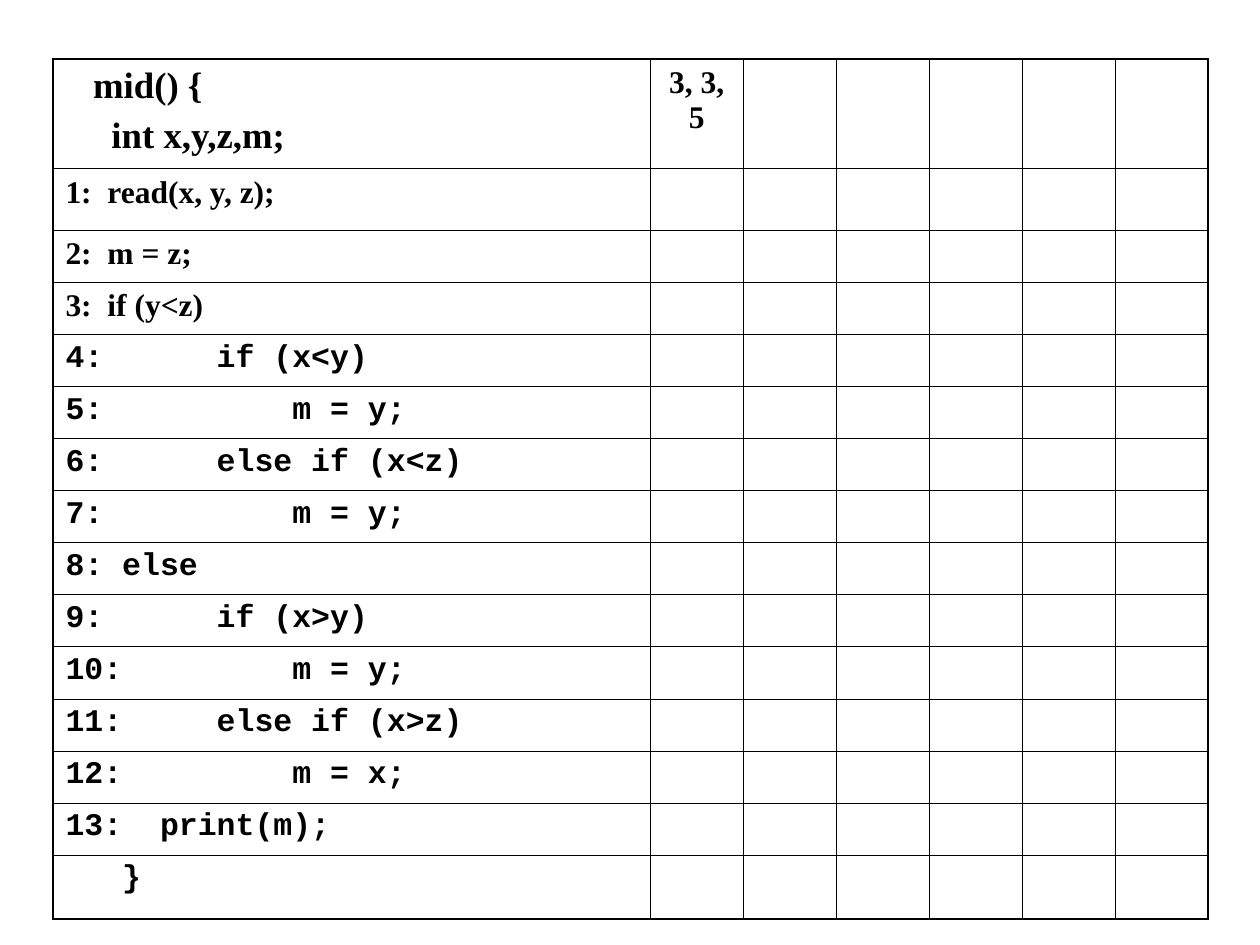
"""Build a slide with a code listing beside a grid of test cases."""
import lxml.etree
import pptx
import pptx.dml.color
import pptx.enum.text
import pptx.oxml.ns
import pptx.util

HUES = {"ink": "000000", "page": "FFFFFF"}
SERIF, MONO = "Times New Roman", "Courier New"
HEAD = "   mid() {\n     int x,y,z,m;"
PLAIN = ["1:  read(x, y, z);", "2:  m = z;", "3:  if (y<z)"]
CODE = [
    "4:      if (x<y)",
    "5:          m = y;",
    "6:      else if (x<z)",
    "7:          m = y;",
    "8: else",
    "9:      if (x>y)",
    "10:         m = y;",
    "11:     else if (x>z)",
    "12:         m = x;",
    "13:  print(m);",
    "   }",
]
CASES = ["3, 3, 5", "", "", "", "", ""]
LINES = [(HEAD, SERIF, 21)]
LINES += [(text, SERIF, 18) for text in PLAIN]
LINES += [(text, MONO, 18) for text in CODE]
ROWS, COLS = len(LINES), len(CASES) + 1
LEFT, TOP, WIDE, TALL = 0.42, 0.47, 9.17, 6.83
FIRST = 4.74
HIGH = {0: 0.87, 1: 0.49, ROWS - 1: 0.51}
THIN, THICK = 0.45, 1.08


def inch(size):
    return pptx.util.Inches(size)


def tint(name):
    return pptx.dml.color.RGBColor.from_string(HUES[name])


def edge(cell, side, width):
    props = cell._tc.get_or_add_tcPr()
    name = pptx.oxml.ns.qn
    line = lxml.etree.SubElement(props, name("a:ln" + side), w=str(pptx.util.Pt(width)))
    fill = lxml.etree.SubElement(line, name("a:solidFill"))
    lxml.etree.SubElement(fill, name("a:srgbClr"), val=HUES["ink"])


def frame(cell, row, col):
    outer = {"L": col == 0, "R": col == COLS - 1, "T": row == 0, "B": row == ROWS - 1}
    for side, thick in outer.items():
        edge(cell, side, THICK if thick else THIN)
    cell.fill.solid()
    cell.fill.fore_color.rgb = tint("page")


def write(cell, text, face, size, align=None):
    cell.text_frame.text = text
    for rank, para in enumerate(cell.text_frame.paragraphs):
        para.alignment = align
        if rank:
            para.space_before = pptx.util.Pt(size / 4)
        for run in para.runs:
            font = run.font
            font.name, font.size, font.bold = face, pptx.util.Pt(size), True
            font.color.rgb = tint("ink")


def main():
    deck = pptx.Presentation()
    deck.slide_width, deck.slide_height = inch(10), inch(7.5)
    slide = deck.slides.add_slide(deck.slide_layouts[6])
    box = [inch(size) for size in (LEFT, TOP, WIDE, TALL)]
    grid = slide.shapes.add_table(ROWS, COLS, *box).table
    grid.first_row = grid.horz_banding = False

    for col, part in enumerate(grid.columns):
        part.width = inch((WIDE - FIRST) / len(CASES) if col else FIRST)
    rest = (TALL - sum(HIGH.values())) / (ROWS - len(HIGH))
    for row, part in enumerate(grid.rows):
        part.height = inch(HIGH.get(row, rest))
        for col in range(COLS):
            frame(grid.cell(row, col), row, col)

    for row, (text, face, size) in enumerate(LINES):
        write(grid.cell(row, 0), text, face, size)
    for col, text in enumerate(CASES, 1):
        if text:
            write(grid.cell(0, col), text, SERIF, 18, pptx.enum.text.PP_ALIGN.CENTER)
    deck.save("out.pptx")


if __name__ == "__main__":
    main()
